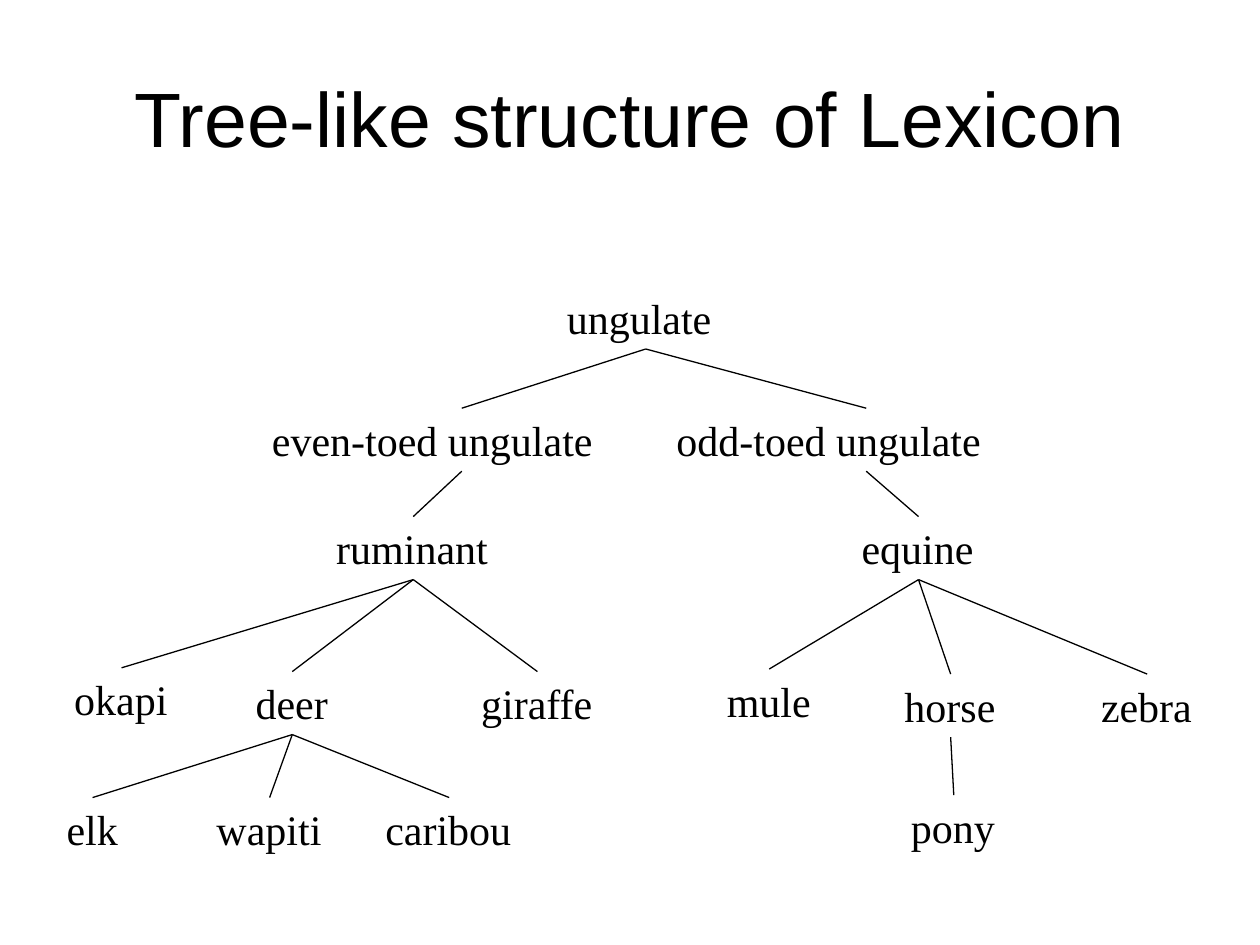
from pptx import Presentation
from pptx.dml.color import RGBColor
from pptx.enum.shapes import MSO_CONNECTOR
from pptx.enum.text import MSO_ANCHOR, MSO_AUTO_SIZE, PP_ALIGN
from pptx.util import Inches, Pt
from lxml import etree

STRAIGHT = MSO_CONNECTOR.STRAIGHT
MIDDLE, TOP = MSO_ANCHOR.MIDDLE, MSO_ANCHOR.TOP
GROW, FIXED = MSO_AUTO_SIZE.SHAPE_TO_FIT_TEXT, MSO_AUTO_SIZE.NONE
LEFT, CENTER = PP_ALIGN.LEFT, PP_ALIGN.CENTER
SPACE = "{http://schemas.openxmlformats.org/drawingml/2006/main}"
HEIGHT = 0.5

NODES = {
    "ungulate": (4.4, 2.27, 1.45),
    "even-toed ungulate": (2.06, 3.24, 3.21),
    "odd-toed ungulate": (5.27, 3.24, 3.21),
    "ruminant": (2.57, 4.1, 1.42),
    "equine": (6.74, 4.1, 1.1),
    "okapi": (0.49, 5.3, 0.95),
    "deer": (1.93, 5.33, 0.78),
    "giraffe": (3.72, 5.33, 1.09),
    "mule": (5.67, 5.31, 0.87),
    "horse": (7.08, 5.35, 0.93),
    "zebra": (8.64, 5.35, 0.93),
    "elk": (0.43, 6.33, 0.61),
    "wapiti": (1.62, 6.33, 1.04),
    "caribou": (2.96, 6.33, 1.21),
    "pony": (7.13, 6.31, 0.88),
}
TREE = {
    "ungulate": ["even-toed ungulate", "odd-toed ungulate"],
    "even-toed ungulate": ["ruminant"],
    "odd-toed ungulate": ["equine"],
    "ruminant": ["okapi", "deer", "giraffe"],
    "equine": ["mule", "horse", "zebra"],
    "deer": ["elk", "wapiti", "caribou"],
    "horse": ["pony"],
}


def color(code):
    return RGBColor.from_string(code)


def assign(target, values):
    for key, value in values.items():
        setattr(target, key, value)


class Canvas:
    ink = "000000"
    title_font = {"name": "Arial", "size": Pt(44)}
    node_font = {"name": "Times New Roman", "size": Pt(24)}

    def __init__(self, slide):
        self.slide = slide

    def text(self, words, box, font, frame, align):
        shape = self.slide.shapes.add_textbox(*map(Inches, box))
        body = shape.text_frame
        assign(body, frame)
        line = body.paragraphs[0]
        line.alignment = align
        run = line.add_run()
        run.text = words
        assign(run.font, font)
        run.font.color.rgb = color(self.ink)

    def title(self, words):
        frame = {"word_wrap": True, "auto_size": FIXED, "vertical_anchor": MIDDLE}
        self.text(words, (0.5, 0.3, 9, 1.25), self.title_font, frame, CENTER)

    def node(self, words, left, top, width):
        frame = {"word_wrap": " " in words, "auto_size": GROW, "vertical_anchor": TOP}
        self.text(words, (left, top, width, HEIGHT), self.node_font, frame, LEFT)

    def branch(self, parent, child):
        left, top, width = NODES[parent]
        start = left + width / 2, top + HEIGHT
        left, top, width = NODES[child]
        end = left + width / 2, top
        line = self.slide.shapes.add_connector(STRAIGHT, *map(Inches, start + end))
        line.line.width = Pt(0.75)
        line.line.color.rgb = color(self.ink)
        etree.SubElement(line._element.spPr, SPACE + "effectLst")


def main():
    deck = Presentation()
    assign(deck, {"slide_width": Inches(10), "slide_height": Inches(7.5)})
    canvas = Canvas(deck.slides.add_slide(deck.slide_layouts[6]))
    canvas.title("Tree-like structure of Lexicon")
    for words, place in NODES.items():
        canvas.node(words, *place)
    for parent, kids in TREE.items():
        for child in kids:
            canvas.branch(parent, child)
    deck.save("out.pptx")


if __name__ == "__main__":
    main()
